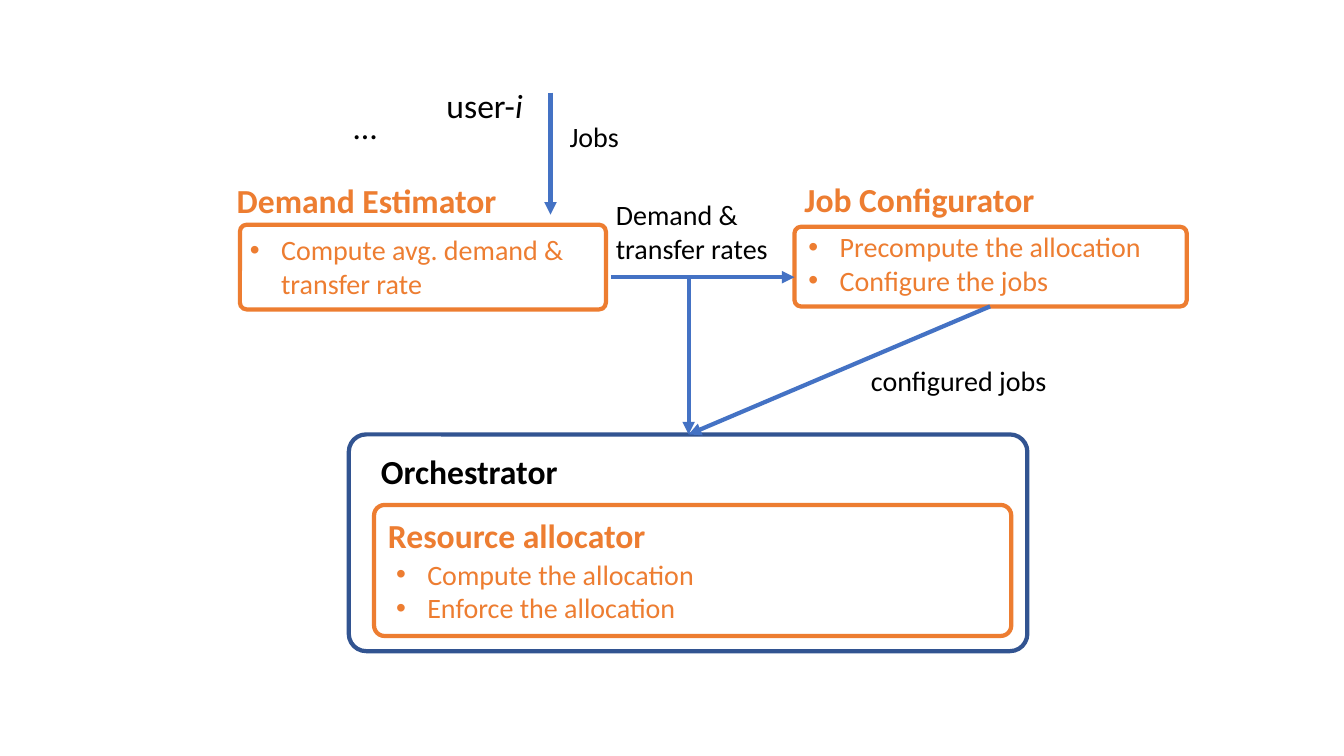
from pptx import Presentation
from pptx.dml.color import RGBColor
from pptx.enum.shapes import MSO_CONNECTOR, MSO_SHAPE
from pptx.oxml.ns import qn
from pptx.util import Pt
from lxml.etree import SubElement

PX = 9144
FONT = "Calibri"
BLACK = RGBColor(0x00, 0x00, 0x00)
ORANGE = RGBColor(0xED, 0x7D, 0x31)
BLUE = RGBColor(0x44, 0x72, 0xC4)
NAVY = RGBColor(0x32, 0x54, 0x91)


def scale(*sizes):
    return [size * PX for size in sizes]


def bullet(para):
    props = para._p.get_or_add_pPr()
    props.set("marL", str(31 * PX))
    props.set("indent", str(-31 * PX))
    SubElement(props, qn("a:buFont")).set("typeface", "Arial")
    SubElement(props, qn("a:buChar")).set("char", "•")


def text(slide, box, *lines, size=20, color=BLACK, bold=False, dots=False, slant=""):
    frame = slide.shapes.add_textbox(*scale(*box)).text_frame
    frame.word_wrap = True
    for index, line in enumerate(lines):
        para = frame.paragraphs[0] if index == 0 else frame.add_paragraph()
        if dots:
            bullet(para)
        for part, tilt in ((line, False), (slant, True)):
            if part:
                run = para.add_run()
                run.text = part
                font = run.font
                font.name, font.size, font.bold = FONT, Pt(size), bold
                font.italic = tilt
                font.color.rgb = color


def frame(slide, box, color):
    shape = slide.shapes.add_shape(MSO_SHAPE.ROUNDED_RECTANGLE, *scale(*box))
    shape.adjustments[0] = 0.08
    shape.shadow.inherit = False
    shape.fill.background()
    shape.line.color.rgb = color
    shape.line.width = Pt(3)


def arrow(slide, start, end):
    line = slide.shapes.add_connector(MSO_CONNECTOR.STRAIGHT, *scale(*start, *end))
    line.line.color.rgb = BLUE
    line.line.width = Pt(3)
    SubElement(line.line._get_or_add_ln(), qn("a:tailEnd")).set("type", "triangle")
    SubElement(line._element.spPr, qn("a:effectLst"))


def panel(slide, box, title, head, items, body):
    left, top, width, height = box
    frame(slide, box, ORANGE)
    text(slide, (left + head[0], top + head[1], 300, 50), title,
         size=24, color=ORANGE, bold=True)
    text(slide, (left + body[0], top + body[1], body[2], 77), *items,
         color=ORANGE, dots=True)


def cluster(slide, box):
    left, top, width, height = box
    frame(slide, box, NAVY)
    text(slide, (left + 22, top + 11, 220, 50), "Orchestrator", size=24, bold=True)
    panel(slide, (left + 25, top + 70, width - 41, height - 85),
          "Resource allocator", (4, 5),
          ["Compute the allocation", "Enforce the allocation"], (12, 47, 470))


def users(slide, box):
    left, top, width, height = box
    text(slide, (left, top + 21, 44, 50), "…", size=24)
    text(slide, (left + 92, top, 135, 50), "user-", size=24, slant="i")
    text(slide, (left + 214, top + 35, 79, 44), "Jobs")
    arrow(slide, (left + 205, top + 13), (left + 205, top + height))


def flows(slide, source, target, sink):
    start = source[0] + source[2] + 5
    level = source[1] + 52
    hub = (sink[0] + sink[2] // 2 + 1, sink[1])
    arrow(slide, (start, level), (target[0], level))
    arrow(slide, (hub[0], level), hub)
    arrow(slide, (target[0] + target[2] // 2, target[1] + target[3]), hub)
    text(slide, (start - 5, level - 84, 217, 77), "Demand & transfer rates")
    text(slide, (hub[0] + 171, hub[1] - 75, 210, 44), "configured jobs")


def main():
    deck = Presentation()
    deck.slide_width, deck.slide_height = scale(1333, 750)
    slide = deck.slides.add_slide(deck.slide_layouts[6])
    demand = (238, 223, 363, 84)
    config = (788, 225, 389, 79)
    base = (346, 431, 673, 215)
    users(slide, (341, 79, 293, 134))
    panel(slide, demand, "Demand Estimator", (-13, -49),
          ["Compute avg. demand & transfer rate"], (0, 3, 393))
    panel(slide, config, "Job Configurator", (0, -52),
          ["Precompute the allocation", "Configure the jobs"], (4, -2, 382))
    cluster(slide, base)
    flows(slide, demand, config, base)
    deck.save("out.pptx")


if __name__ == "__main__":
    main()
